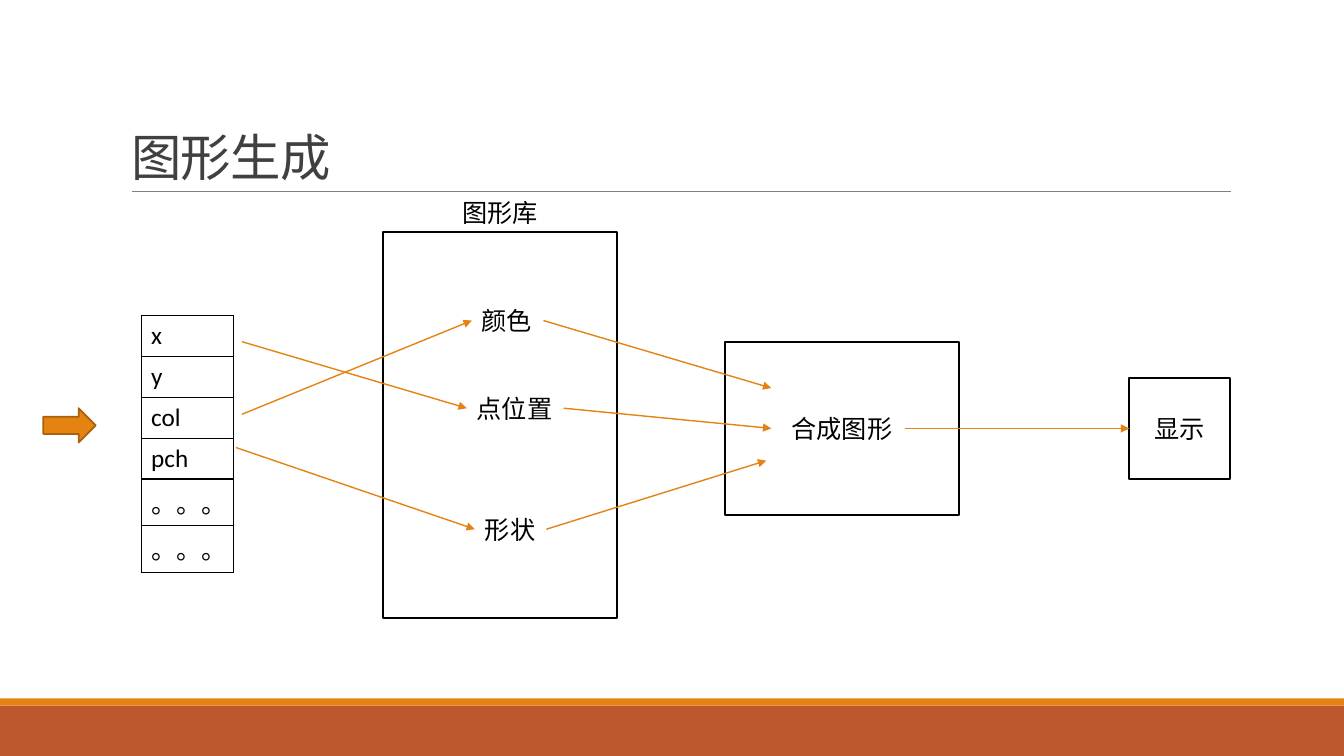
from lxml import etree
from pptx import Presentation
from pptx.dml.color import RGBColor
from pptx.enum.shapes import MSO_CONNECTOR, MSO_SHAPE
from pptx.enum.text import MSO_ANCHOR, MSO_AUTO_SIZE, PP_ALIGN
from pptx.oxml.ns import qn
from pptx.util import Inches, Pt

FONT = "Calibri"
BLACK = RGBColor(0, 0, 0)
WHITE = RGBColor(255, 255, 255)
GRAY = RGBColor(0x80, 0x80, 0x80)
TITLE_GRAY = RGBColor(0x40, 0x40, 0x40)
ORANGE = RGBColor(0xE4, 0x83, 0x12)
DARK_ORANGE = RGBColor(0xA9, 0x61, 0x0D)
RUST = RGBColor(0xBD, 0x58, 0x2C)
RECTANGLE = MSO_SHAPE.RECTANGLE
RIGHT_ARROW = MSO_SHAPE.RIGHT_ARROW
STRAIGHT = MSO_CONNECTOR.STRAIGHT
LEFT, CENTER = PP_ALIGN.LEFT, PP_ALIGN.CENTER
MIDDLE, BOTTOM = MSO_ANCHOR.MIDDLE, MSO_ANCHOR.BOTTOM
FIT_SHAPE, NO_FIT = MSO_AUTO_SIZE.SHAPE_TO_FIT_TEXT, MSO_AUTO_SIZE.NONE
LEFT_SIDE, RIGHT_SIDE = 1, 3


def write(frame, text, align=LEFT, size=18, color=BLACK):
    """Fill a text frame with one formatted paragraph and return it."""
    frame.text = text
    para = frame.paragraphs[0]
    para.alignment = align
    for span in para.runs:
        span.font.name = FONT
        span.font.size = Pt(size)
        span.font.color.rgb = color
    return para


def add_block(slide, box, fill, line=None, kind=RECTANGLE, text=None):
    """Add a filled shape, outlined and labelled on request."""
    block = slide.shapes.add_shape(kind, *map(Inches, box))
    block.shadow.inherit = False
    block.fill.solid()
    block.fill.fore_color.rgb = fill
    if line is None:
        block.line.fill.background()
    else:
        block.line.color.rgb = line
        block.line.width = Pt(1.25)
    if text:
        block.text_frame.vertical_anchor = MIDDLE
        write(block.text_frame, text, CENTER)
    return block


def add_label(slide, box, text, align=LEFT):
    """Add a caption that does not wrap."""
    label = slide.shapes.add_textbox(*map(Inches, box))
    label.text_frame.word_wrap = False
    label.text_frame.auto_size = FIT_SHAPE
    write(label.text_frame, text, align)
    return label


def add_line(slide, start, end, color, width):
    """Add a straight line without a shadow."""
    line = slide.shapes.add_connector(STRAIGHT, *map(Inches, (*start, *end)))
    line.line.color.rgb = color
    line.line.width = Pt(width)
    etree.SubElement(line._element.spPr, qn("a:effectLst"))
    return line


def add_arrow(slide, start, end, source=None, target=None):
    """Add an arrow, joined to the source's right and the target's left side."""
    arrow = add_line(slide, start, end, ORANGE, 1)
    etree.SubElement(arrow.line._get_or_add_ln(), qn("a:tailEnd"), type="triangle")
    if source is not None:
        arrow.begin_connect(source, RIGHT_SIDE)
    if target is not None:
        arrow.end_connect(target, LEFT_SIDE)


def add_page_frame(slide, box):
    """Draw the footer bands and the rule below the title."""
    left, top, width, height = box
    bottom = top + height
    add_block(slide, (left, bottom - 0.5, width, 0.5), RUST)
    add_block(slide, (left, bottom - 0.57, width, 0.07), ORANGE)
    add_line(slide, (left + 1.31, top + 1.9), (left + 12.21, top + 1.9), GRAY, 0.5)


def add_title(slide, box, text):
    """Place and format the title placeholder."""
    title = slide.shapes.title
    title.left, title.top, title.width, title.height = map(Inches, box)
    frame = title.text_frame
    frame.vertical_anchor = BOTTOM
    frame.auto_size = NO_FIT
    para = write(frame, text, LEFT, 36, TITLE_GRAY)
    para.line_spacing = 0.85
    para.runs[0].font._element.set("spc", "-50")


def add_border(cell):
    """Draw a thin black line on every side of a cell."""
    properties = cell._tc.get_or_add_tcPr()
    for side in ("lnL", "lnR", "lnT", "lnB"):
        line = etree.SubElement(properties, qn(f"a:{side}"), w=str(Pt(1)))
        fill = etree.SubElement(line, qn("a:solidFill"))
        etree.SubElement(fill, qn("a:srgbClr"), val=str(BLACK))


def add_parameters(slide, box, names):
    """Draw the one-column table of parameters and the arrow pointing to it."""
    left, top, width, height = box
    table = slide.shapes.add_table(len(names), 1, *map(Inches, box)).table
    table.first_row = False
    table.horz_banding = False
    for row, name in zip(table.rows, names):
        row.height = Inches(height / len(names))
        cell = row.cells[0]
        add_border(cell)
        cell.fill.background()
        write(cell.text_frame, name)
    add_block(slide, (left - 0.97, top + 0.92, 0.52, 0.34), ORANGE, DARK_ORANGE, RIGHT_ARROW)


def add_library(slide, box):
    """Draw the graphics library and return its three labels."""
    left, top, width, height = box
    add_block(slide, box, WHITE, BLACK)
    add_label(slide, (left + 0.68, top - 0.39, 0.96, 0.4), "图形库", CENTER)
    labels = (("颜色", 0.88, 0.68, 0.71), ("点位置", 0.83, 1.55, 0.96), ("形状", 0.91, 2.75, 0.71))
    return [
        add_label(slide, (left + across, top + down, wide, 0.4), text)
        for text, across, down, wide in labels
    ]


def add_flow(slide, labels, composite, display):
    """Join parameters, library labels, composite and display with arrows."""
    starts = ((2.4, 4.11), (2.4, 3.39), (2.34, 4.44))
    ends = ((7.65, 3.85), (7.65, 4.25), (7.6, 4.57))
    for label, start, end in zip(labels, starts, ends):
        add_arrow(slide, start, start, target=label)
        add_arrow(slide, end, end, source=label)
    left, top, width, height = composite
    start = (left + 1.79, top + height / 2)
    add_arrow(slide, start, start, target=display)


def main():
    """Build the deck and save it."""
    deck = Presentation()
    deck.slide_width, deck.slide_height = Inches(13.33), Inches(7.5)
    slide = deck.slides.add_slide(deck.slide_layouts[5])
    add_page_frame(slide, (0, 0, 13.33, 7.5))
    add_title(slide, (1.2, 0.31, 11, 1.59), "图形生成")
    names = ("x", "y", "col", "pch", "。。。", "。。。")
    add_parameters(slide, (1.4, 3.13, 0.92, 2.43), names)
    labels = add_library(slide, (3.8, 2.3, 2.32, 3.83))
    composite = (7.19, 3.39, 2.32, 1.72)
    add_block(slide, composite, WHITE, BLACK, text="合成图形")
    display = add_block(slide, (11.2, 3.75, 1, 1), WHITE, BLACK, text="显示")
    add_flow(slide, labels, composite, display)
    deck.save("out.pptx")


if __name__ == "__main__":
    main()
